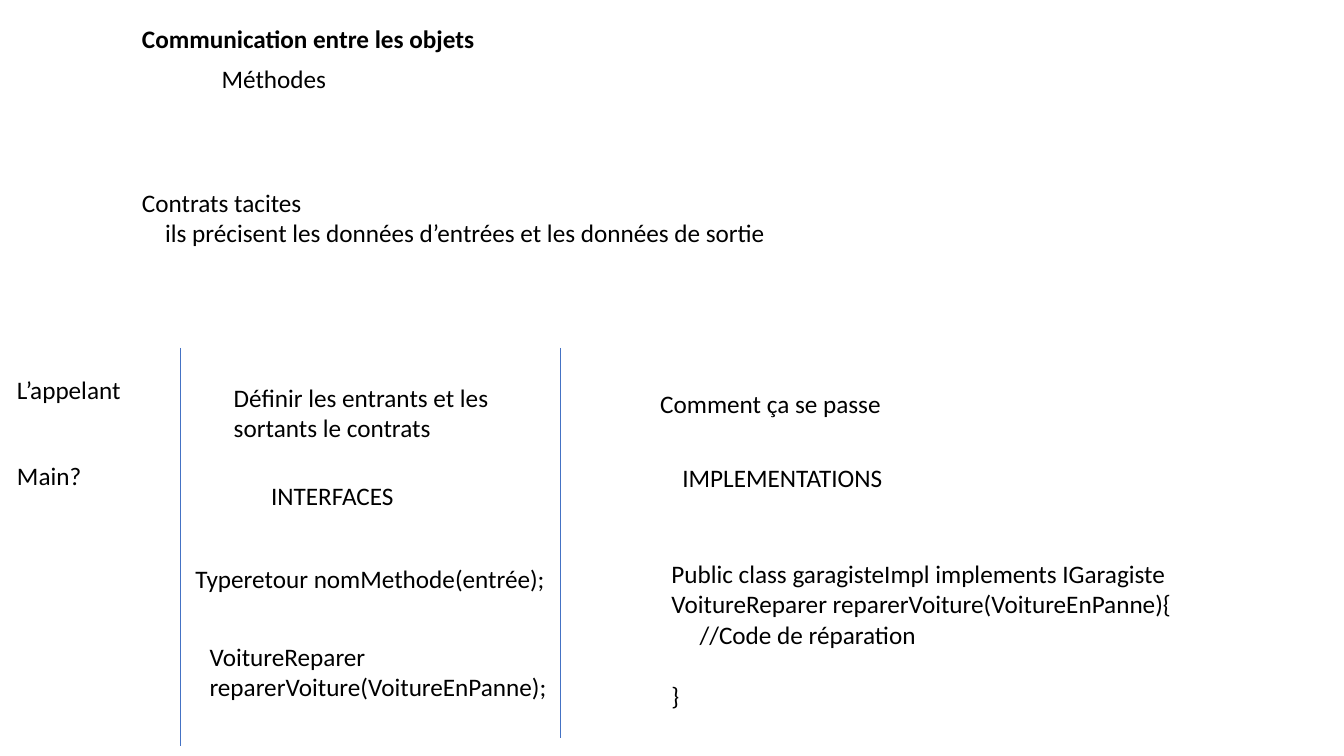
"""Build the slide on objects, contracts, interfaces and implementations."""
from pptx import Presentation
from pptx.dml.color import RGBColor
from pptx.enum.shapes import MSO_CONNECTOR
from pptx.enum.text import MSO_AUTO_SIZE
from pptx.oxml.ns import qn
from pptx.util import Inches, Pt
from lxml import etree

STRAIGHT = MSO_CONNECTOR.STRAIGHT
GROW = MSO_AUTO_SIZE.SHAPE_TO_FIT_TEXT
COLORS = {"text": "000000", "rule": "4472C4"}
FONT, SIZE = "Calibri", 18
CELL = Inches(0.1)
LINE, PAD = 3.05, 1
LEFT, CALLER, TOP = 13.1, 0.7, 34.5


def grid(count):
    """Turn a count of grid cells into a length."""
    return round(count * CELL)


def color(name):
    """Look up a named colour."""
    return RGBColor.from_string(COLORS[name])


def note(slide, col, row, wide, *lines, rows=None, bold=None):
    """Add a text box; each line is text or (text, indent, gap in lines)."""
    high = (rows or len(lines)) * LINE + PAD
    box = slide.shapes.add_textbox(grid(col), grid(row), grid(wide), grid(high))
    frame = box.text_frame
    frame.word_wrap = True
    frame.auto_size = GROW
    for i, line in enumerate(lines):
        text, indent, gap = (line, 0, 0) if isinstance(line, str) else line
        para = frame.add_paragraph() if i else frame.paragraphs[0]
        para.text = text
        para.font.name, para.font.size = FONT, Pt(SIZE)
        para.font.bold = bold
        para.font.color.rgb = color("text")
        if indent:
            para._p.get_or_add_pPr().set("marL", str(grid(indent)))
        if gap:
            para.space_before = grid(gap * LINE)


def rule(slide, col, end):
    """Add an upright line between two columns."""
    line = slide.shapes.add_connector(
        STRAIGHT, grid(col), grid(TOP), grid(col), grid(end))
    line.line.color.rgb = color("rule")
    line.line.width = Pt(0.5)
    etree.SubElement(line._element.spPr, qn("a:effectLst"))


def main():
    """Build and save the slide."""
    deck = Presentation()
    deck.slide_width, deck.slide_height = Inches(13.33), Inches(7.5)
    slide = deck.slides.add_slide(deck.slide_layouts[6])

    note(slide, LEFT, 1.8, 45.6, "Communication entre les objets", bold=True)
    note(slide, 21, 5.8, 18.7, "Méthodes")
    note(slide, LEFT, 18.1, 82.6, "Contrats tacites",
         ("ils précisent les données d’entrées et les données de sortie", 2.3, 0))

    rule(slide, 17.9, 74)
    rule(slide, 55.6, 73.2)

    note(slide, CALLER, 36.6, 16.5, "L’appelant")
    note(slide, CALLER, 45.2, 15.8, "Main?")

    note(slide, 22.2, 37.4, 28.7,
         "Définir les entrants et les sortants le contrats", rows=2)
    note(slide, 25.9, 47.2, 15.5, "INTERFACES")
    note(slide, 18.4, 55.4, 43.2, "Typeretour nomMethode(entrée);")
    note(slide, 19.8, 63.1, 43.2,
         "VoitureReparer reparerVoiture(VoitureEnPanne);", rows=2)

    note(slide, 64.5, 38, 28.7, "Comment ça se passe")
    note(slide, 66.7, 45.4, 31.4, "IMPLEMENTATIONS")
    note(slide, 65.6, 54.9, 64.9,
         "Public class garagisteImpl implements IGaragiste",
         "VoitureReparer reparerVoiture(VoitureEnPanne){",
         ("//Code de réparation", 2.8, 0), ("}", 0, 1), rows=5)

    deck.save("out.pptx")


main()
